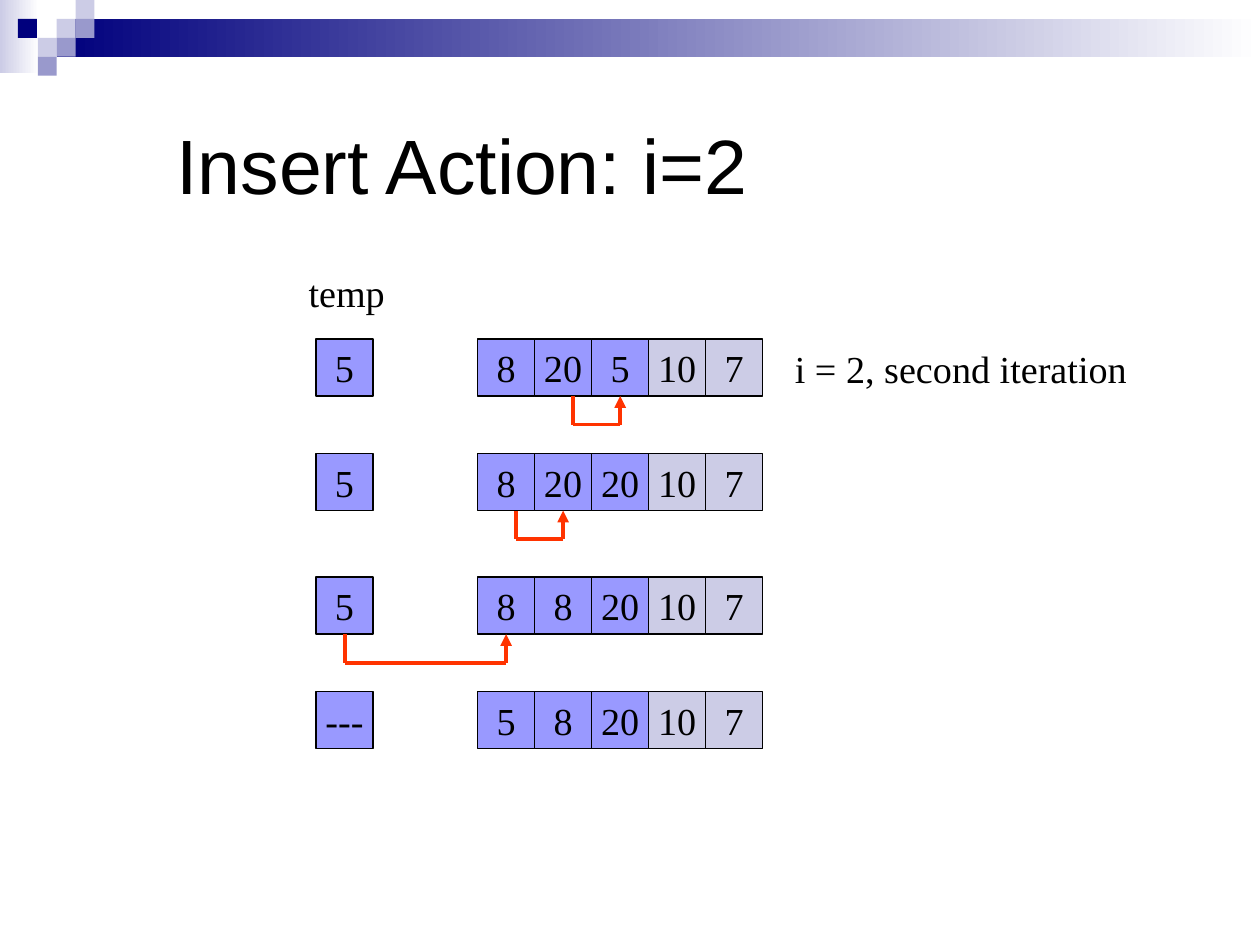
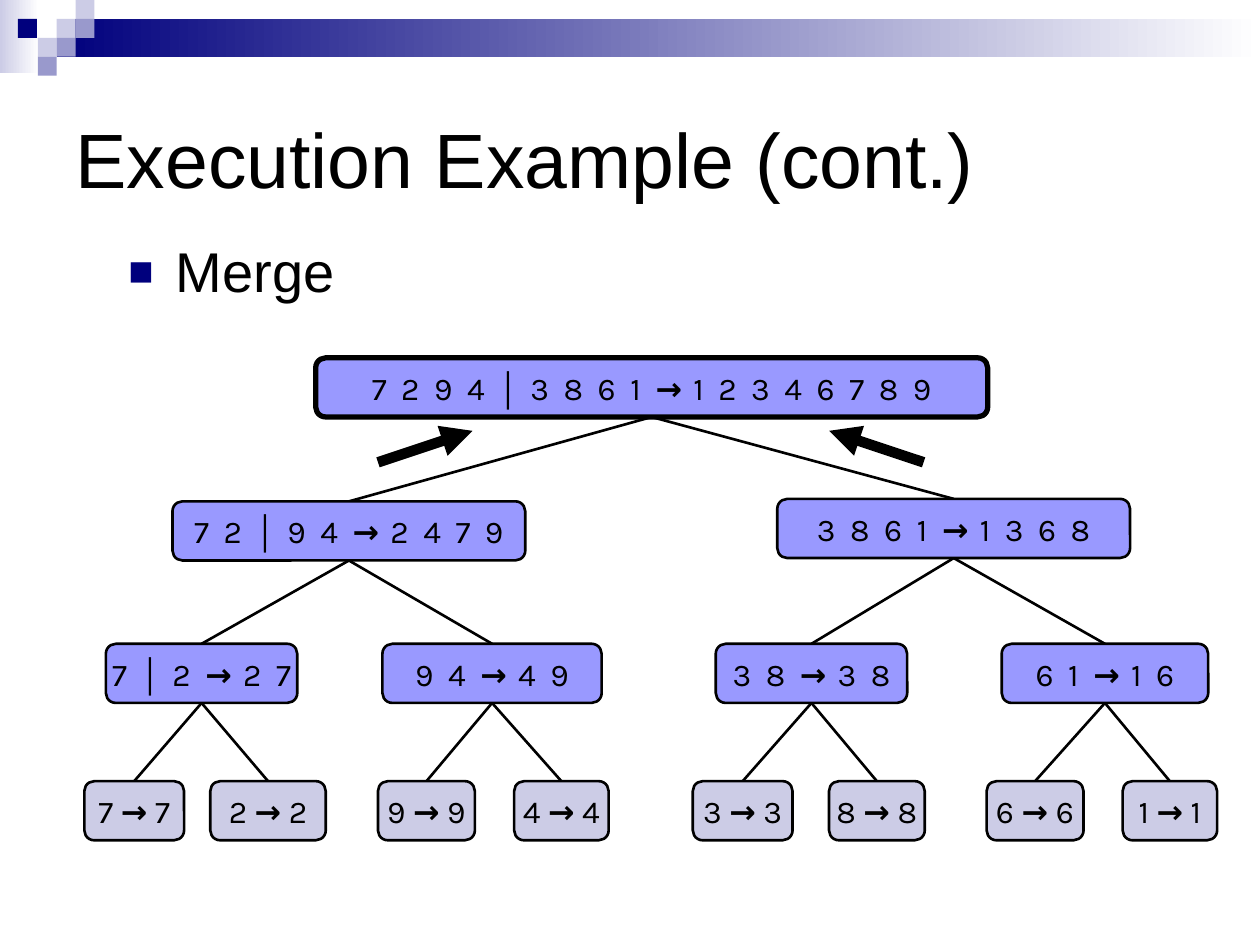
from collections import namedtuple
from itertools import groupby

from pptx import Presentation
from pptx.dml.color import RGBColor
from pptx.enum.shapes import MSO_CONNECTOR as Connector
from pptx.enum.shapes import MSO_SHAPE as Preset
from pptx.enum.text import MSO_ANCHOR as Anchor
from pptx.enum.text import PP_ALIGN as Align
from pptx.oxml.ns import qn
from pptx.util import Pt
from lxml.etree import SubElement

BLACK = RGBColor(0x00, 0x00, 0x00)
WHITE = RGBColor(0xFF, 0xFF, 0xFF)
NAVY = RGBColor(0x00, 0x00, 0x7D)
SLATE = RGBColor(0x99, 0x99, 0xCC)
LAVENDER = RGBColor(0xCC, 0xCC, 0xE6)
PERIWINKLE = RGBColor(0x99, 0x99, 0xFF)
ORANGE = RGBColor(0xFF, 0x33, 0x00)

HEADING_FONT, ARRAY_FONT, TREE_FONT = "Arial", "Times New Roman", "Karla"
ARRAY_SIZE, TREE_SIZE = 21.8, 18.1
CELL = 32.6
ELBOW_DEPTH = 16.3
NODE_HEIGHT = 33.8

Box = namedtuple("Box", "left top width height")
Node = namedtuple("Node", "center top width text")

ARRAY_ROWS = [
    (0, "5", ["8", "20", "5", "10", "7"]),
    (65.5, "5", ["8", "20", "20", "10", "7"]),
    (136.1, "5", ["8", "8", "20", "10", "7"]),
    (201.6, "---", ["5", "8", "20", "10", "7"]),
]

MERGE_TREE = [
    Node(324.4, 0, 384, "7 2 9 4 │ 3 8 6 1 → 1 2 3 4 6 7 8 9"),
    Node(151.4, 82, 201.6, "7 2 │ 9 4 → 2 4 7 9"),
    Node(497, 80.6, 201.6, "3 8 6 1 → 1 3 6 8"),
    Node(67.2, 163.4, 109.4, "7 │ 2 → 2 7"),
    Node(233.2, 163.4, 125.3, "9 4 → 4 9"),
    Node(415.7, 163.4, 109.4, "3 8 → 3 8"),
    Node(583.4, 163.4, 118, "6 1 → 1 6"),
    Node(28.7, 241.9, 57, "7 → 7"),
    Node(105.2, 241.9, 66, "2 → 2"),
    Node(195.7, 241.9, 55.4, "9 → 9"),
    Node(272.8, 241.9, 54, "4 → 4"),
    Node(376.4, 241.9, 57, "3 → 3"),
    Node(453.1, 241.9, 54.7, "8 → 8"),
    Node(543.5, 241.9, 55.4, "6 → 6"),
    Node(620.5, 241.9, 54, "1 → 1"),
]
FIRST_LEAF = 7


def in_points(box):
    """Return the four sides of a box as lengths."""
    return [Pt(side) for side in box]


def style_font(font, name, size, bold=False):
    """Set the typeface, size and weight of black text."""
    font.name, font.size, font.bold = name, Pt(size), bold
    font.color.rgb = BLACK


def add_block(shapes, box, color, preset=Preset.RECTANGLE, line_width=None):
    """Add a flat filled shape, outlined in black if a line width is given."""
    shape = shapes.add_shape(preset, *in_points(box))
    shape.shadow.inherit = False
    shape.fill.solid()
    shape.fill.fore_color.rgb = color
    if line_width:
        shape.line.color.rgb = BLACK
        shape.line.width = Pt(line_width)
    else:
        shape.line.fill.background()
    return shape


def add_line(slide, start, end, color, width, arrow=False):
    """Add a straight line, with an arrowhead at its end on request."""
    points = [Pt(value) for value in (*start, *end)]
    connector = slide.shapes.add_connector(Connector.STRAIGHT, *points)
    connector.line.color.rgb = color
    connector.line.width = Pt(width)
    if arrow:
        outline = connector.line._get_or_add_ln()
        SubElement(outline, qn("a:tailEnd"), type="triangle")
    SubElement(connector.element.spPr, qn("a:effectLst"))


def center_text(shape):
    """Center unwrapped text in a shape and return its paragraph."""
    text_frame = shape.text_frame
    text_frame.word_wrap = False
    text_frame.vertical_anchor = Anchor.MIDDLE
    paragraph = text_frame.paragraphs[0]
    paragraph.alignment = Align.CENTER
    return paragraph


def add_title(slide, box, text):
    """Fill and place the title placeholder."""
    title = slide.shapes.title
    title.left, title.top, title.width, title.height = in_points(box)
    title.text_frame.text = text
    title.text_frame.vertical_anchor = Anchor.MIDDLE
    paragraph = title.text_frame.paragraphs[0]
    paragraph.alignment = Align.LEFT
    style_font(paragraph.runs[0].font, HEADING_FONT, 44)


def add_bullet(slide, box, text):
    """Fill the body placeholder with one square-bulleted line."""
    body = slide.placeholders[1]
    body.left, body.top, body.width, body.height = in_points(box)
    body.text_frame.text = text
    paragraph = body.text_frame.paragraphs[0]
    properties = paragraph._p.get_or_add_pPr()
    properties.set("marL", str(Pt(27)))
    properties.set("indent", str(-Pt(27)))
    bullet_color = SubElement(properties, qn("a:buClr"))
    SubElement(bullet_color, qn("a:srgbClr"), val=str(NAVY))
    SubElement(properties, qn("a:buSzPct"), val="75000")
    SubElement(properties, qn("a:buFont"), typeface=HEADING_FONT)
    SubElement(properties, qn("a:buChar"), char="■")
    paragraph.space_before = Pt(0)
    style_font(paragraph.runs[0].font, HEADING_FONT, 32)


def add_label(slide, box, text):
    """Add a caption beside the array."""
    label = slide.shapes.add_textbox(*in_points(box))
    label.text_frame.word_wrap = True
    label.text_frame.text = text
    style_font(label.text_frame.paragraphs[0].runs[0].font, ARRAY_FONT, ARRAY_SIZE)


def add_cell(slide, left, top, text, color):
    """Add one square array cell."""
    cell = add_block(slide.shapes, Box(left, top, CELL, CELL), color, line_width=0.75)
    paragraph = center_text(cell)
    paragraph.text = text
    style_font(paragraph.runs[0].font, ARRAY_FONT, ARRAY_SIZE)


def add_elbow(slide, start, end, top):
    """Add an arrow that drops, runs sideways and rises into a cell."""
    bottom = top + ELBOW_DEPTH
    add_line(slide, (start, bottom), (start, top), ORANGE, 2.25)
    add_line(slide, (end, bottom), (end, top), ORANGE, 2.25, arrow=True)
    add_line(slide, (end, bottom), (start, bottom), ORANGE, 2.25)


def draw_insertion(slide, box):
    """Draw the temp cell, the array and the moves of each step."""
    array_left = box.left + 92.3
    temp_middle = box.left + CELL / 2
    moves = [
        (array_left + 5 / 3 * CELL, array_left + 2.5 * CELL),
        (array_left + 2 / 3 * CELL, array_left + 1.5 * CELL),
        (temp_middle, array_left + CELL / 2),
    ]
    for offset, temp, values in ARRAY_ROWS:
        top = box.top + offset
        add_cell(slide, box.left, top, temp, PERIWINKLE)
        for column, value in enumerate(values):
            color = PERIWINKLE if column < 3 else LAVENDER
            add_cell(slide, array_left + column * CELL, top, value, color)
    for (offset, _, _), (start, end) in zip(ARRAY_ROWS, moves):
        add_elbow(slide, start, end, box.top + offset + CELL)
    add_label(slide, Box(box.left - 11.4, box.top - 43.2, 65.5, 33.8), "temp")
    add_label(slide, Box(box.left + 266.5, box.top, 234, 33.8), "i = 2, second iteration")


def add_node_text(shape, text, tracking):
    """Write a merge step, with bold bars and arrows and tracked digits."""
    paragraph = center_text(shape)
    for is_symbol, characters in groupby(text, lambda character: character in "│→"):
        run = paragraph.add_run()
        run.text = "".join(characters)
        font_name = HEADING_FONT if run.text == "│" else TREE_FONT
        style_font(run.font, font_name, TREE_SIZE, bold=is_symbol)
        if tracking and not is_symbol:
            run._r.get_or_add_rPr().set("spc", str(tracking))


def draw_merge_tree(slide, box):
    """Draw the edges, nodes and upward arrows of the merge tree."""
    for index, node in enumerate(MERGE_TREE[1:], start=1):
        parent = MERGE_TREE[(index - 1) // 2]
        start = (box.left + parent.center, box.top + parent.top + NODE_HEIGHT)
        end = (box.left + node.center, box.top + node.top)
        add_line(slide, start, end, BLACK, 1.5)
    for index, node in enumerate(MERGE_TREE):
        is_leaf = index >= FIRST_LEAF
        left = box.left + node.center - node.width / 2
        shape = add_block(
            slide.shapes,
            Box(left, box.top + node.top, node.width, NODE_HEIGHT),
            LAVENDER if is_leaf else PERIWINKLE,
            Preset.ROUNDED_RECTANGLE,
            1.5 if index else 3,
        )
        shape.adjustments[0] = 0.167
        add_node_text(shape, node.text, 0 if is_leaf else 200)
    for tail, tip in ((168, 222), (479.8, 425.8)):
        start = (box.left + tail, box.top + 59.7)
        end = (box.left + tip, box.top + 41.7)
        add_line(slide, start, end, BLACK, 6, arrow=True)


def add_master_band(presentation, slide, box):
    """Build the gradient band and its squares, and put them on the master."""
    group = slide.shapes.add_group_shape()
    fades = [
        (Box(box.left, box.top, 22.3, 41.8), LAVENDER),
        (Box(box.left + 32.4, box.top + 10.8, box.width - 32.4, 21.6), NAVY),
    ]
    for fade_box, color in fades:
        fill = add_block(group.shapes, fade_box, color).fill
        fill.gradient()
        fill.gradient_angle = 0
        for stop, stop_color in zip(fill.gradient_stops, (color, WHITE)):
            stop.color.rgb = stop_color
    squares = [
        (3, 1, LAVENDER), (4, 0, LAVENDER), (4, 1, SLATE), (2, 2, LAVENDER),
        (0.95, 1, NAVY), (3, 2, SLATE), (2, 3, SLATE),
    ]
    side = 10.8
    for column, row, color in squares:
        square = Box(box.left + column * side, box.top + row * side, side, side)
        add_block(group.shapes, square, color)
    presentation.slide_master.shapes.element.insert(2, group.element)


def main():
    """Build both slides and save them."""
    presentation = Presentation()
    presentation.slide_width, presentation.slide_height = Pt(720), Pt(540)
    layouts = presentation.slide_layouts

    insertion = presentation.slides.add_slide(layouts[5])
    add_title(insertion, Box(93.6, 52.6, 555, 81.4), "Insert Action: i=2")
    draw_insertion(insertion, Box(180.6, 193.7, 500, 235))

    merge = presentation.slides.add_slide(layouts[1])
    add_title(merge, Box(36, 36, 648, 108), "Execution Example (cont.)")
    add_bullet(merge, Box(66.2, 131.8, 612, 54), "Merge")
    draw_merge_tree(merge, Box(48, 204.5, 648, 276))

    add_master_band(presentation, insertion, Box(0, 0, 720, 43.2))
    presentation.save("out.pptx")


if __name__ == "__main__":
    main()
